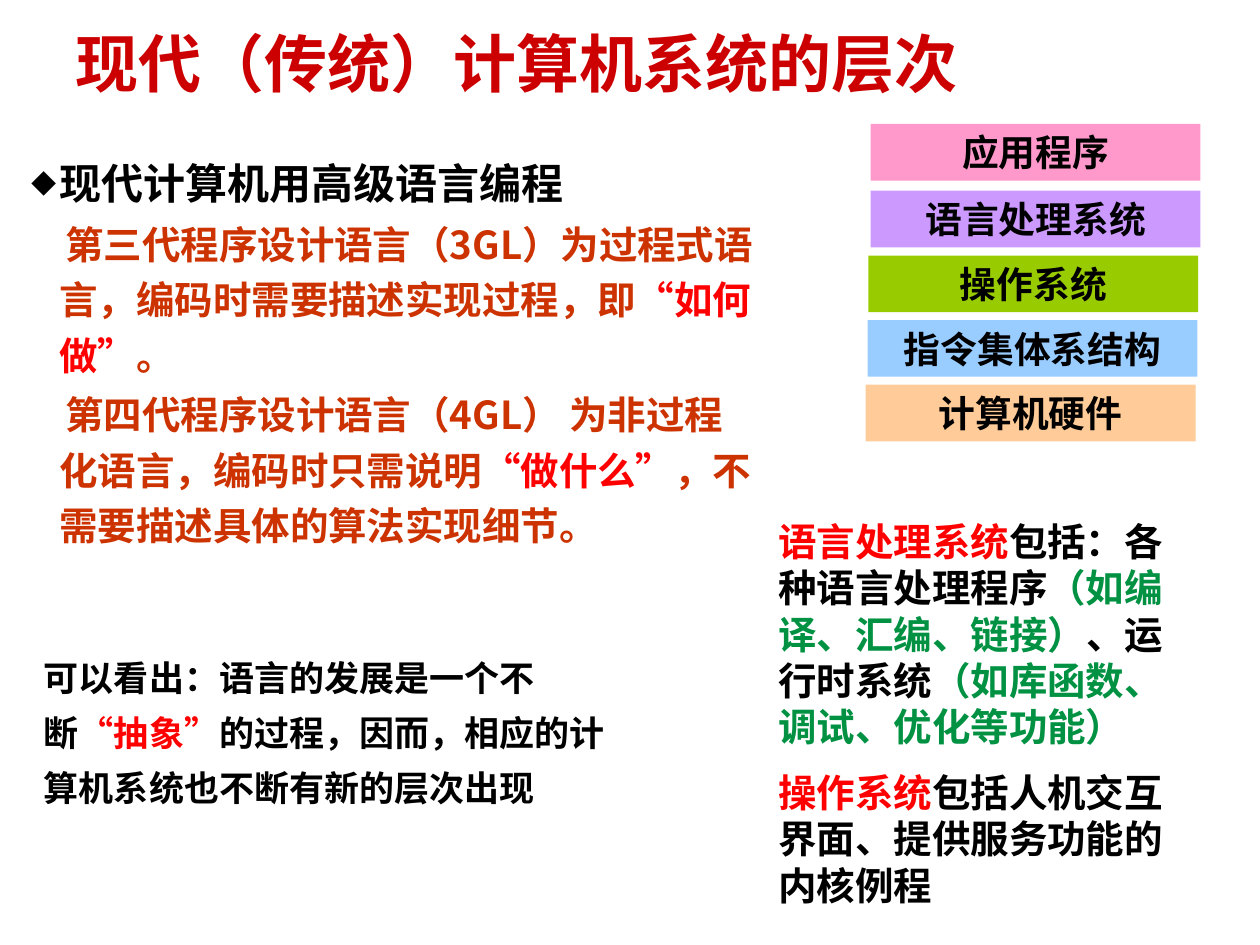
from lxml import etree
from pptx import Presentation
from pptx.dml.color import RGBColor
from pptx.enum.shapes import MSO_SHAPE as Shape
from pptx.enum.text import MSO_ANCHOR as Anchor, MSO_AUTO_SIZE as Fit, PP_ALIGN as Align
from pptx.oxml.ns import qn
from pptx.util import Pt

SANS, SERIF = "Noto Sans CJK SC", "Times New Roman"
BLACK, RED, RUST, GREEN = "000000", "FF0000", "CC3300", "009242"


def color(code):
    return RGBColor.from_string(code)


class Deck:
    def __init__(self):
        self.prs = Presentation()
        self.prs.slide_width, self.prs.slide_height = Pt(720), Pt(540)
        self.slide = self.prs.slides.add_slide(self.prs.slide_layouts[5])

    def place(self, shape, box):
        shape.left, shape.top, shape.width, shape.height = map(Pt, box)

    def frame(self, shape, pad=(7.2, 3.6), anchor=Anchor.TOP):
        tf = shape.text_frame
        tf.word_wrap, tf.auto_size = True, Fit.NONE
        tf.vertical_anchor = anchor
        tf.margin_left = tf.margin_right = Pt(pad[0])
        tf.margin_top = tf.margin_bottom = Pt(pad[1])
        return tf

    def fill_para(self, para, runs, size, font, line=None, align=Align.LEFT):
        """Fill a paragraph with (text, colour) runs in one bold font."""
        para.alignment = align
        if line:
            para.line_spacing = Pt(line)
        para.font.size, para.font.bold, para.font.name = Pt(size), True, font
        base = para._p.pPr.find(qn("a:defRPr"))
        etree.SubElement(base, qn("a:ea"), typeface=SANS)
        for text, code in runs:
            run = para.add_run()
            run.text = text
            run.font.color.rgb = color(code)

    def title(self, text, box):
        shape = self.slide.shapes.title
        self.place(shape, box)
        tf = self.frame(shape, (5, 2.2))
        self.fill_para(tf.paragraphs[0], [(text, "CC0000")], 36, "Arial", 40)

    def text(self, box, paras, size, font, line, gap=0):
        shape = self.slide.shapes.add_textbox(*map(Pt, box))
        tf = self.frame(shape)
        for i, runs in enumerate(paras):
            para = tf.add_paragraph() if i else tf.paragraphs[0]
            if i:
                para.space_before = Pt(gap)
            self.fill_para(para, runs, size, font, line)

    def indent(self, para, left, first):
        props = para._p.get_or_add_pPr()
        props.set("marL", str(Pt(left)))
        props.set("indent", str(Pt(first)))
        return props

    def bullet(self, para):
        props = self.indent(para, 16, -16)
        tint = etree.SubElement(props, qn("a:buClr"))
        etree.SubElement(tint, qn("a:srgbClr"), val=BLACK)
        etree.SubElement(props, qn("a:buSzPct"), val="60000")
        etree.SubElement(props, qn("a:buFont"), typeface=SANS)
        etree.SubElement(props, qn("a:buChar"), char="◆")

    def outline(self, box, head, paras):
        """A bulleted heading with indented paragraphs below it."""
        shape = self.slide.shapes.add_textbox(*map(Pt, box))
        tf = self.frame(shape, (5, 2.2))
        para = tf.paragraphs[0]
        self.bullet(para)
        self.fill_para(para, [(head, BLACK)], 24, SANS, 34.5)
        for runs in paras:
            para = tf.add_paragraph()
            self.indent(para, 16, 3.5)
            para.space_before = Pt(2.2)
            self.fill_para(para, runs, 22, SANS, 31.7)

    def bar(self, box, text, fill):
        shape = self.slide.shapes.add_shape(Shape.RECTANGLE, *map(Pt, box))
        shape.shadow.inherit = False
        shape.fill.solid()
        shape.fill.fore_color.rgb = color(fill)
        shape.line.fill.background()
        tf = self.frame(shape, anchor=Anchor.MIDDLE)
        self.fill_para(tf.paragraphs[0], [(text, BLACK)], 21, SERIF, align=Align.CENTER)


def main():
    deck = Deck()
    deck.title("现代（传统）计算机系统的层次", (38.2, 15.1, 648, 43.9))

    deck.outline((13, 82, 425.5, 299.5), "现代计算机用高级语言编程", [
        [("第三代程序设计语言（3GL）为过程式语言，编码时需要描述实现过程，即", RUST),
         ("“如何做”", RED), ("。", RUST)],
        [("第四代程序设计语言（4GL） 为非过程化语言，编码时只需说明", RUST),
         ("“做什么”", RED), ("，不需要描述具体的算法实现细节。", RUST)],
    ])

    layers = [
        (497.5, 70.8, "应用程序", "FF99CC"),
        (497.5, 109, "语言处理系统", "CC99FF"),
        (496.2, 146, "操作系统", "99CC00"),
        (495.8, 182.9, "指令集体系结构", "99CCFF"),
        (494.7, 219.8, "计算机硬件", "FFCC99"),
    ]
    for left, top, name, fill in layers:
        deck.bar((left, top, 188.5, 32.4), name, fill)

    deck.text((18, 364.3, 339, 101.5), [
        [("可以看出：语言的发展是一个不断", BLACK), ("“抽象”", RED),
         ("的过程，因而，相应的计算机系统也不断有新的层次出现", BLACK)],
    ], 20, SERIF, 31.4)

    deck.text((437.8, 292.3, 250.6, 234), [
        [("语言处理系统", RED), ("包括：各种语言处理程序", BLACK),
         ("（如编译、汇编、链接）", GREEN), ("、运行时系统", BLACK),
         ("（如库函数、调试、优化等功能）", GREEN)],
        [("操作系统", RED), ("包括人机交互界面、提供服务功能的内核例程", BLACK)],
    ], 22, SERIF, 26.5, 11)

    deck.prs.save("out.pptx")


if __name__ == "__main__":
    main()
